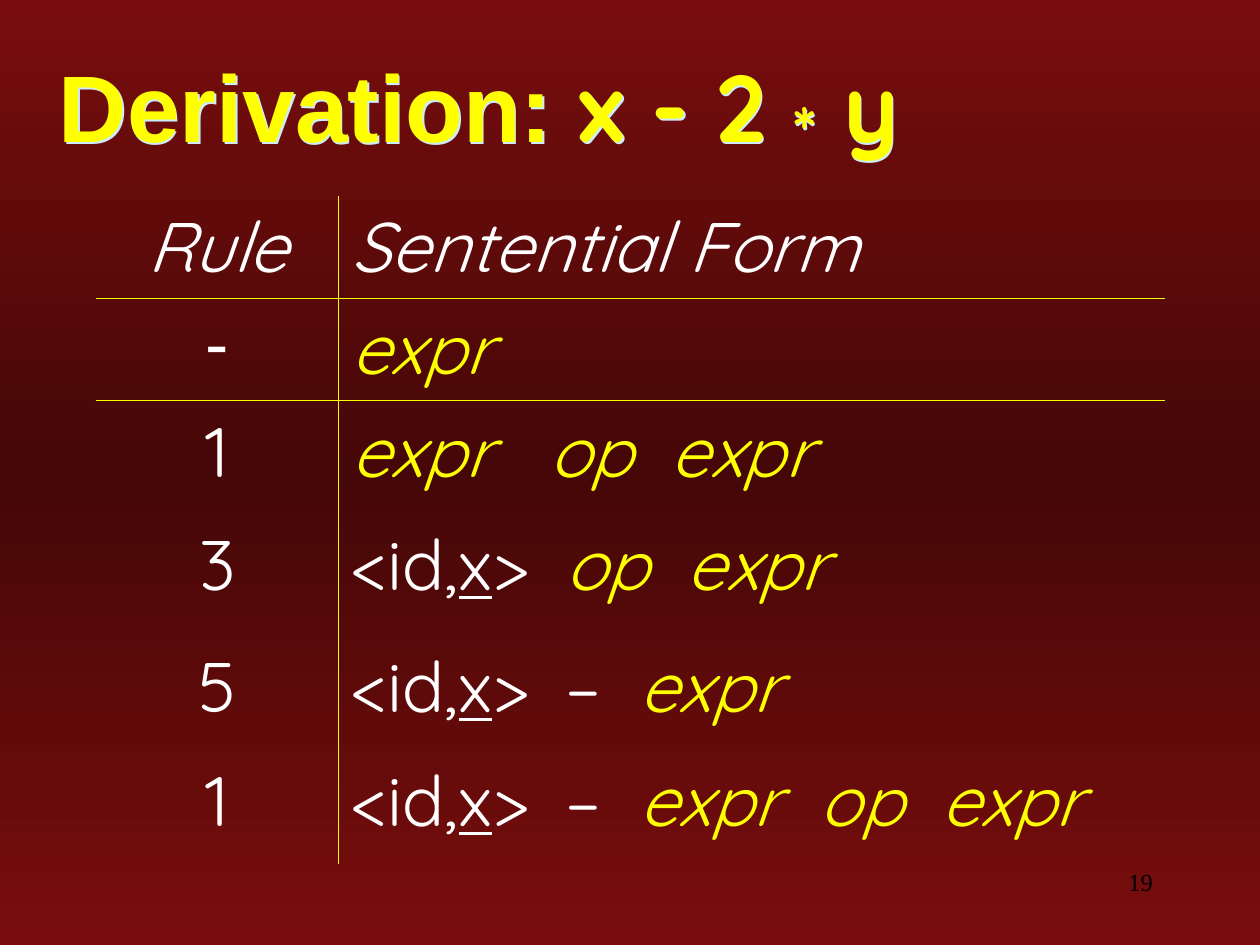
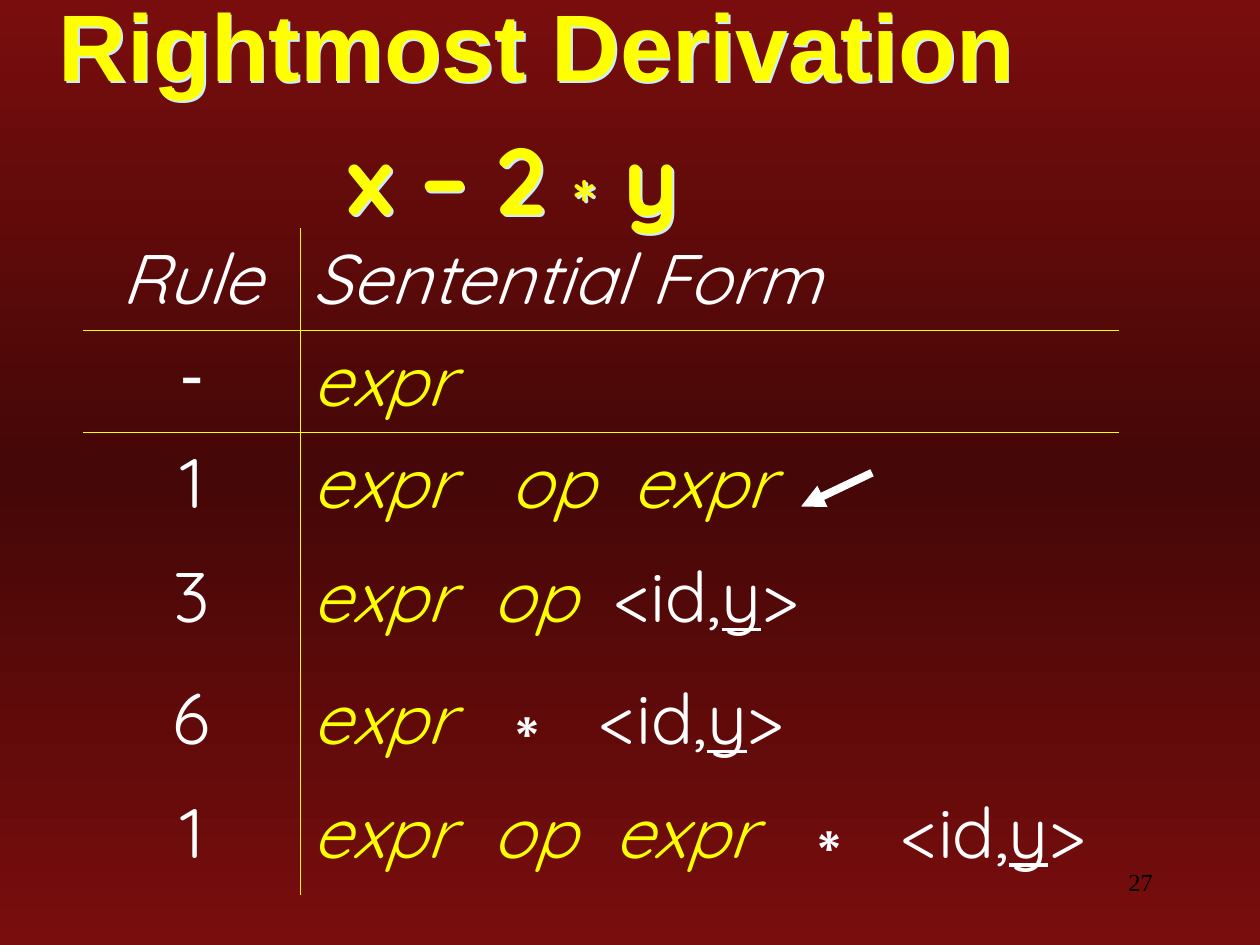
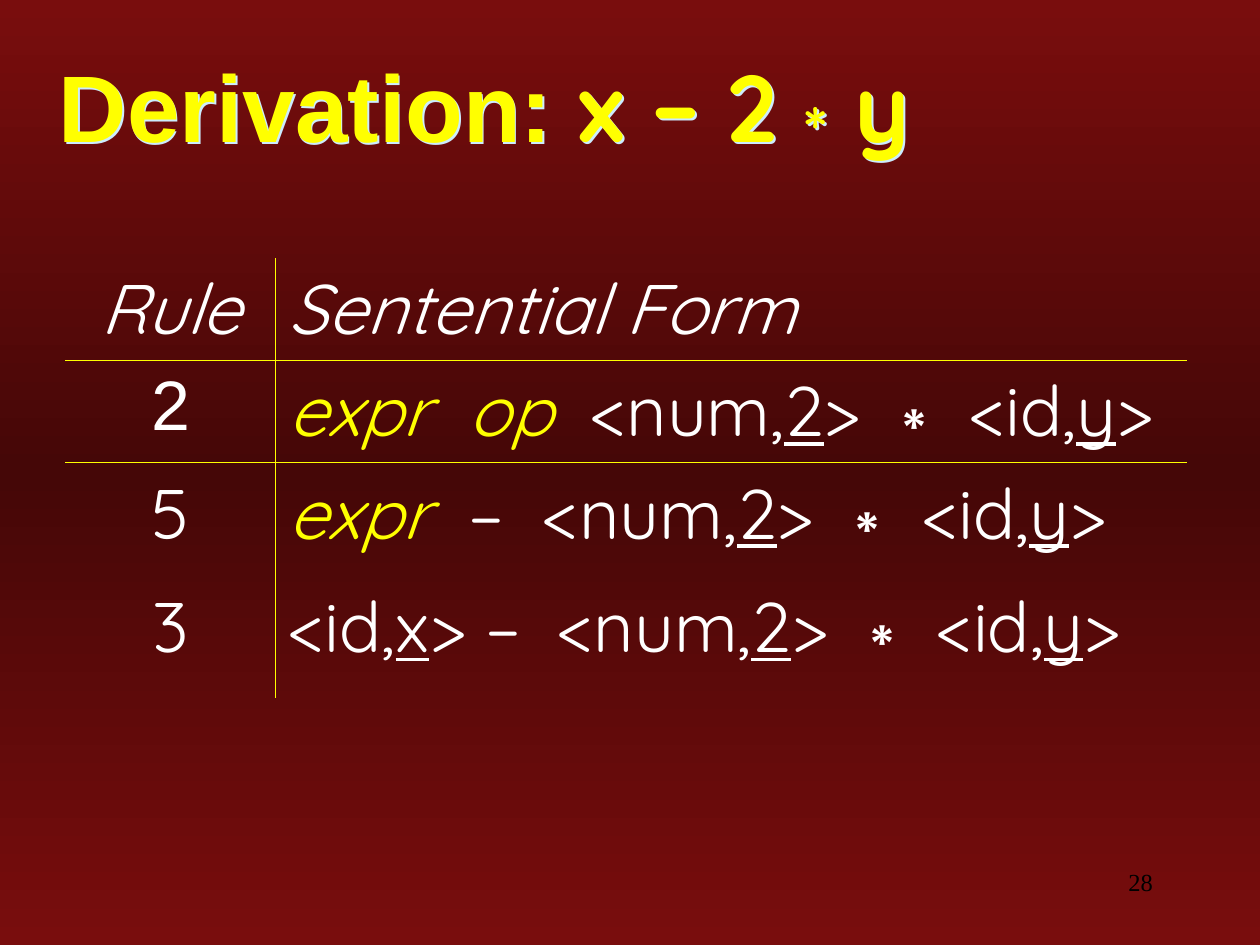
"""Builds three slides that derive x - 2 * y step by step."""
from copy import deepcopy
from dataclasses import dataclass
from itertools import accumulate

from lxml.etree import SubElement
from pptx import Presentation
from pptx.dml.color import RGBColor
from pptx.enum.shapes import MSO_CONNECTOR
from pptx.enum.text import MSO_ANCHOR, PP_ALIGN
from pptx.oxml.ns import qn
from pptx.util import Cm, Pt


@dataclass(frozen=True)
class Theme:
    edge: str = "790D0D"
    middle: str = "450707"
    accent: str = "FFFF00"
    text: str = "FFFFFF"
    number: str = "000000"
    title_shadow: str = "CCECFF"
    plain_font: str = "Arial"
    formula_font: str = "Quicksand"
    number_font: str = "Times New Roman"
    title_size: int = 54
    star_size: int = 66
    table_size: int = 40
    number_size: int = 14
    border: float = 0.45
    arrow: float = 4.5


@dataclass(frozen=True)
class Step:
    rule: str
    form: str
    shift: float = 0


SYMBOL_WIDTHS = {"expr": 3.63, "op": 2.45, "<id,x>": 4.31, "–": 1.5,
                 "∗": 2.16, "<id,x> –": 5.42}
ROW_HEIGHTS = [2.06, 2.06, 2.29, 2.46, 2.29, 2.29]
NO_GRID_STYLE = "{2D5ABB26-0587-4C30-8999-92F81FD0307C}"


class Deck:
    """Holds the theme and the current slide and draws each kind of element."""

    def __init__(self, theme):
        self.theme = theme
        self.presentation = Presentation()
        self.presentation.slide_width = Cm(25.4)
        self.presentation.slide_height = Cm(19.05)
        self.slide = None

    def new_slide(self, number):
        self.slide = self.presentation.slides.add_slide(self.presentation.slide_layouts[6])
        self.background()
        self.slide_number(number)

    def background(self):
        fill = self.slide.background.fill
        fill.gradient()
        fill.gradient_angle = 90
        for stop, color in zip(fill.gradient_stops, (self.theme.edge, self.theme.middle)):
            stop.color.rgb = RGBColor.from_string(color)
        properties = self.slide.background._cSld.find(qn("p:bg"))
        stops = properties.find(".//" + qn("a:gsLst"))
        stops.append(deepcopy(stops[0]))
        for stop, position in zip(stops, (0, 50000, 100000)):
            stop.set("pos", str(position))

    def text_box(self, left, top, width, height):
        box = self.slide.shapes.add_textbox(Cm(left), Cm(top), Cm(width), Cm(height))
        box.text_frame.word_wrap = True
        return box

    def style(self, font, name=None, color=None, size=None):
        if name:
            font.name = name
        if color:
            font.color.rgb = RGBColor.from_string(color)
        if size:
            font.size = Pt(size)

    def run(self, paragraph, text, name, color=None, size=None):
        run = paragraph.add_run()
        run.text = text
        self.style(run.font, name, color, size)
        return run

    def slide_number(self, number):
        paragraph = self.text_box(18.21, 17.35, 5.28, 1.27).text_frame.paragraphs[0]
        paragraph.text = number
        paragraph.alignment = PP_ALIGN.RIGHT
        self.style(paragraph.font, self.theme.number_font, self.theme.number,
                   self.theme.number_size)

    def title(self, heading, minus, top=0.91, formula_indent=None):
        theme = self.theme
        box = self.text_box(0.94, top, 24.46, 2.11)
        effects = SubElement(box._element.spPr, qn("a:effectLst"))
        shadow = SubElement(effects, qn("a:outerShdw"), dist="18000", dir="2700000")
        SubElement(shadow, qn("a:srgbClr"), val=theme.title_shadow)
        frame = box.text_frame
        frame.vertical_anchor = MSO_ANCHOR.MIDDLE
        paragraph = frame.paragraphs[0]
        self.run(paragraph, heading, theme.plain_font)
        if formula_indent:
            paragraph = frame.add_paragraph()
            properties = paragraph._p.get_or_add_pPr()
            properties.set("marL", str(Cm(formula_indent)))
            properties.set("indent", "0")
        self.run(paragraph, f"x {minus} 2 ", theme.formula_font)
        star = self.run(paragraph, "*", theme.formula_font, size=theme.star_size)
        star._r.get_or_add_rPr().set("baseline", "-10000")
        self.run(paragraph, " y", theme.formula_font)
        for paragraph in frame.paragraphs:
            self.style(paragraph.font, color=theme.accent, size=theme.title_size)
            paragraph.font.bold = True

    def border(self, cell, side):
        line = SubElement(cell._tc.get_or_add_tcPr(), qn(f"a:ln{side}"),
                          w=str(Pt(self.theme.border)))
        fill = SubElement(line, qn("a:solidFill"))
        SubElement(fill, qn("a:srgbClr"), val=self.theme.accent)

    def cell(self, cell, sides):
        for side in sides:
            self.border(cell, side)
        cell.fill.background()
        return cell.text_frame.paragraphs[0]

    def label(self, paragraph, text, name, italic=False):
        paragraph.text = text
        self.style(paragraph.font, name, self.theme.text, self.theme.table_size)
        paragraph.font.italic = italic

    def tab_stops(self, paragraph, segments, shift):
        stops = SubElement(paragraph._p.get_or_add_pPr(), qn("a:tabLst"))
        for position in accumulate(SYMBOL_WIDTHS[segment] for segment in segments):
            SubElement(stops, qn("a:tab"), pos=str(Cm(position + shift)), algn="l")

    def symbol(self, paragraph, word, gap):
        theme = self.theme
        if word in ("expr", "op"):
            self.run(paragraph, word + gap, theme.formula_font, theme.accent).font.italic = True
        elif word.startswith("<"):
            kind, value = word.rstrip(">").split(",")
            self.run(paragraph, kind + ",", theme.formula_font, theme.text)
            self.run(paragraph, value, theme.formula_font, theme.text).font.underline = True
            self.run(paragraph, ">" + gap, theme.formula_font, theme.text)
        else:
            name = theme.plain_font if word == "∗" else theme.formula_font
            self.run(paragraph, word + gap, name, theme.text)

    def sentential_form(self, paragraph, step):
        segments = step.form.split("\t")
        if len(segments) > 1:
            self.tab_stops(paragraph, segments[:-1], step.shift)
        for index, segment in enumerate(segments, 1):
            words = segment.split(" ")
            segment_end = "\t" if index < len(segments) else ""
            for place, word in enumerate(words, 1):
                self.symbol(paragraph, word, " " if place < len(words) else segment_end)
        self.style(paragraph.font, size=self.theme.table_size)

    def derivation(self, left, top, widths, steps):
        theme = self.theme
        heights = ROW_HEIGHTS[:len(steps) + 1]
        table = self.slide.shapes.add_table(len(heights), 2, Cm(left), Cm(top),
                                            Cm(sum(widths)), Cm(sum(heights))).table
        table.first_row = table.horz_banding = False
        table._tbl.tblPr.find(qn("a:tableStyleId")).text = NO_GRID_STYLE
        for column, width in zip(table.columns, widths):
            column.width = Cm(width)
        for row, height in zip(table.rows, heights):
            row.height = Cm(height)
        for index in range(len(heights)):
            edge = {0: "B", 1: "T"}.get(index, "")
            rule = self.cell(table.cell(index, 0), "R" + edge)
            form = self.cell(table.cell(index, 1), "L" + edge)
            rule.alignment = PP_ALIGN.CENTER
            if index == 0:
                self.label(rule, "Rule", theme.formula_font, True)
                self.label(form, "Sentential Form", theme.formula_font, True)
            else:
                step = steps[index - 1]
                name = theme.plain_font if index == 1 else theme.formula_font
                self.label(rule, step.rule, name)
                self.sentential_form(form, step)

    def arrow(self, start, end):
        connector = self.slide.shapes.add_connector(
            MSO_CONNECTOR.STRAIGHT, *(Cm(length) for length in start + end))
        connector.line.color.rgb = RGBColor.from_string(self.theme.text)
        connector.line.width = Pt(self.theme.arrow)
        SubElement(connector.line._get_or_add_ln(), qn("a:tailEnd"), type="triangle")
        SubElement(connector._element.spPr, qn("a:effectLst"))


def main():
    deck = Deck(Theme())
    opening = [Step("-", "expr"), Step("1", "expr\top\texpr", 0.36)]

    deck.new_slide("19")
    deck.title("Derivation: ", "-")
    deck.derivation(1.93, 3.96, (4.9, 16.66), opening + [
        Step("3", "<id,x>\top\texpr"),
        Step("5", "<id,x>\t–\texpr"),
        Step("1", "<id,x>\t–\texpr\top\texpr"),
    ])

    deck.new_slide("27")
    deck.title("Rightmost Derivation", "–", top=1.24, formula_indent=5.82)
    deck.derivation(1.68, 4.6, (4.37, 16.51), opening + [
        Step("3", "expr\top\t<id,y>"),
        Step("6", "expr\t∗\t<id,y>"),
        Step("1", "expr\top\texpr\t∗\t<id,y>"),
    ])
    deck.arrow((17.58, 9.53), (16.15, 10.21))

    deck.new_slide("28")
    deck.title("Derivation: ", "–")
    deck.derivation(1.32, 5.21, (4.24, 18.36), [
        Step("2", "expr\top\t<num,2> ∗ <id,y>"),
        Step("5", "expr\t–\t<num,2> ∗ <id,y>"),
        Step("3", "<id,x> –\t<num,2> ∗ <id,y>"),
    ])

    deck.presentation.save("out.pptx")


if __name__ == "__main__":
    main()
